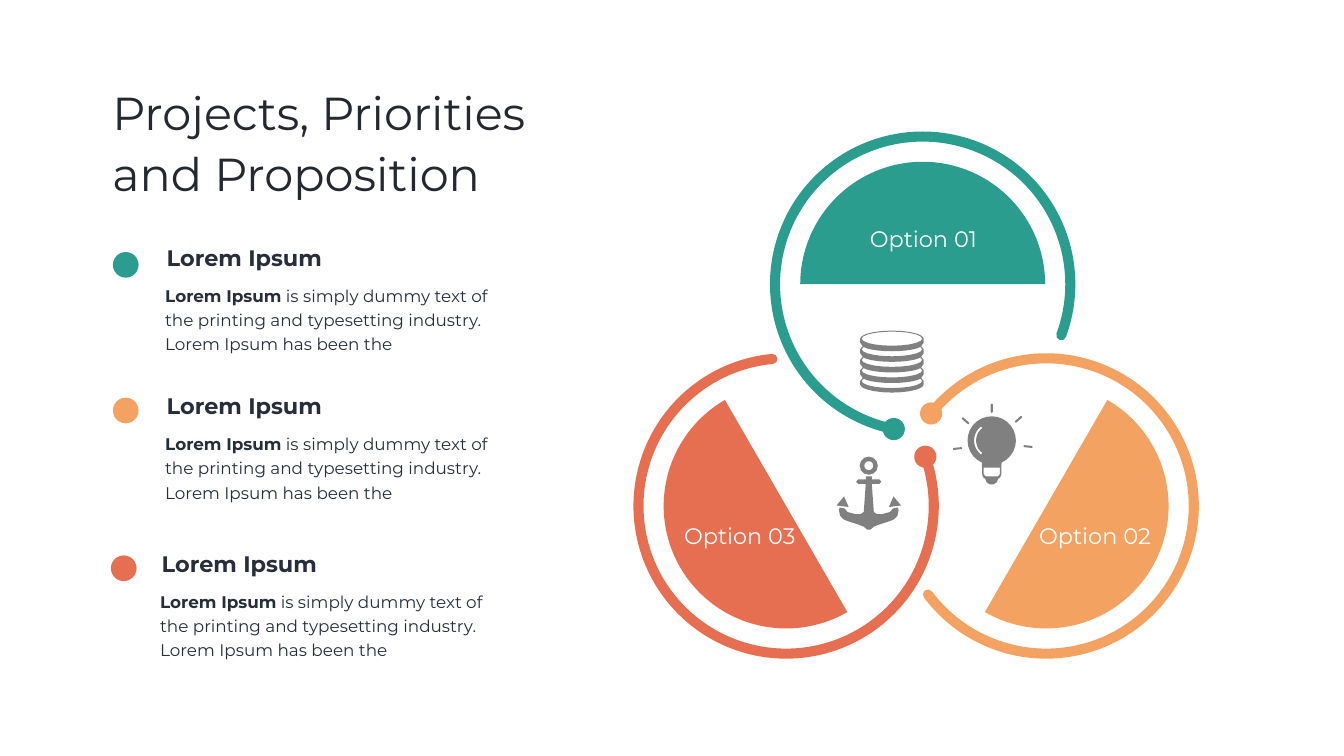
from math import cos, sin, radians
from pptx import Presentation
from pptx.dml.color import RGBColor
from pptx.enum.shapes import MSO_SHAPE as SHAPE
from pptx.enum.text import MSO_ANCHOR, MSO_AUTO_SIZE, PP_ALIGN
from pptx.oxml.ns import qn
from pptx.util import Inches, Pt

COLORS = {"teal": "2A9D8F", "orange": "F4A261", "red": "E76F51", "icon": "808080",
          "title": "25292F", "text": "272E3A", "white": "FFFFFF"}
FONT = "Montserrat"


def arc(cx, cy, rx, ry, start, end, steps=10):
    """Points on an ellipse, with angles in degrees clockwise from the right."""
    angles = [radians(start + (end - start) * i / steps) for i in range(steps + 1)]
    return [(cx + rx * cos(a), cy + ry * sin(a)) for a in angles]


def style(item, color, size=None, bold=False):
    """Fill a shape, or set the font of a run when a size is given."""
    rgb = RGBColor.from_string(COLORS[color])
    if size:
        item.font.name, item.font.size, item.font.bold = FONT, Pt(size), bold
        item.font.color.rgb = rgb
    else:
        item.fill.solid()
        item.fill.fore_color.rgb = rgb
        item.line.fill.background()
        item.shadow.inherit = False


prs = Presentation()
prs.slide_width, prs.slide_height = Inches(26.67), Inches(15)
s = prs.slides.add_slide(prs.slide_layouts[5])

# Title
title = s.shapes.title
title.left, title.top, title.width, title.height = map(Inches, (2.13, 1.52, 9.41, 2.47))
tf = title.text_frame
tf.text = "Projects, Priorities and Proposition"
tf.word_wrap, tf.auto_size = True, MSO_AUTO_SIZE.NONE
tf.vertical_anchor = MSO_ANCHOR.TOP
p = tf.paragraphs[0]
p.alignment, p.line_spacing = PP_ALIGN.LEFT, 1.1
style(p.runs[0], "title", 66)

# Open rings around half discs: colour, centre, ring angles, first disc angle
RING, DISC = 2.93, 2.43
DEGREE = 0.6  # one degree as an adjustment value
dots = []
for color, cx, cy, start, end, disc_start in [("teal", 18.31, 5.64, 101.3, 20.2, 180),
                                              ("orange", 20.76, 10.04, 218.8, 143.2, 300),
                                              ("red", 15.6, 10.04, 340.5, 264.7, 60)]:
    ring = s.shapes.add_shape(SHAPE.ARC, Inches(cx - RING), Inches(cy - RING),
                              Inches(2 * RING), Inches(2 * RING))
    ring.adjustments[0], ring.adjustments[1] = start * DEGREE, end * DEGREE
    ring.shadow.inherit = False
    ring.fill.background()
    ring.line.color.rgb = RGBColor.from_string(COLORS[color])
    ring.line.width = Inches(0.2)
    ring.element.spPr.find(qn("a:ln")).set("cap", "rnd")

    disc = s.shapes.add_shape(SHAPE.CHORD, Inches(cx - DISC), Inches(cy - DISC),
                              Inches(2 * DISC), Inches(2 * DISC))
    disc.adjustments[0] = disc_start * DEGREE
    disc.adjustments[1] = (disc_start + 180) % 360 * DEGREE
    style(disc, color)
    x, y = arc(cx, cy, RING, RING, start, start, 1)[0]
    dots.append((color, x - 0.22, y - 0.22, 0.44))

# Stack of coins
COINS, STEP, MID = 5, 0.21, 17.7
right_edge = []
for i in range(COINS):
    y = 6.72 + i * STEP
    right_edge += [(MID + 0.63, y), (MID + 0.63, y + 0.08)]
    if i < COINS - 1:
        right_edge.append((MID + 0.58, y + 0.15))
left_edge = [(2 * MID - x, y) for x, y in reversed(right_edge)]
stack = [arc(MID, 6.72, 0.63, 0.16, 180, 360) + right_edge
         + arc(MID, 7.63, 0.63, 0.16, 0, 180) + left_edge,
         arc(MID, 6.72, 0.6, 0.14, 0, 360, 20)]
for i in range(COINS - 1):
    y = 6.93 + i * STEP
    stack.append(arc(MID, y, 0.6, 0.14, 0, 180) + arc(MID, y - 0.09, 0.6, 0.13, 160, 20))

# Light bulb with neck and highlight cut out
BULB_X, BULB_Y = 19.68, 8.74
bulb = arc(BULB_X, BULB_Y, 0.48, 0.48, 114, 426, 24)
base = [(0.19, 9.41), (0.17, 9.47), (0.13, 9.5), (0.1, 9.57), (0.04, 9.61)]
bulb += [(BULB_X + dx, y) for dx, y in base]
bulb += [(BULB_X - dx, y) for dx, y in reversed(base)]
neck = [(BULB_X + dx, y) for dx, y in
        [(-0.16, 9.28), (0.16, 9.28), (0.16, 9.41), (0.12, 9.45), (-0.12, 9.45), (-0.16, 9.41)]]
highlight = (arc(BULB_X, BULB_Y, 0.35, 0.35, 127, 233)
             + arc(BULB_X, BULB_Y, 0.31, 0.31, 233, 127))

# Anchor: right half, mirrored about its shank
ANCHOR_X = 17.24
half = [(0.06, 9.45), (0.06, 9.51), (0.21, 9.51), (0.25, 9.56), (0.21, 9.6), (0.06, 9.6),
        (0.1, 10.16), (0.16, 10.2), (0.27, 10.2), (0.42, 10.16), (0.48, 10.09), (0.58, 10.07),
        (0.59, 10.13), (0.57, 10.23), (0.51, 10.3), (0.42, 10.34), (0.2, 10.41),
        (0.1, 10.45), (0.03, 10.51)]
barb = [(0.49, 9.85), (0.64, 10.03), (0.4, 10.06)]
anchor = ([(ANCHOR_X + dx, y) for dx, y in half]
          + [(ANCHOR_X - dx, y) for dx, y in reversed(half)])
barbs = [[(ANCHOR_X + side * dx, y) for dx, y in barb] for side in (-1, 1)]

for contours in (stack, [bulb, neck, highlight], [anchor] + barbs):
    contours = [[(Inches(x), Inches(y)) for x, y in c] for c in contours]
    builder = s.shapes.build_freeform(*contours[0][0])
    builder.add_line_segments(contours[0][1:], close=True)
    for contour in contours[1:]:
        builder.move_to(*contour[0])
        builder.add_line_segments(contour[1:], close=True)
    style(builder.convert_to_shape(), "icon")

eye = s.shapes.add_shape(SHAPE.DONUT, Inches(17.06), Inches(9.06), Inches(0.36), Inches(0.36))
eye.adjustments[0] = 0.25
style(eye, "icon")

# Rays of the bulb: centre and angle
for x, y, angle in [(19.68, 8.1, 90), (19.16, 8.35, 42), (19, 8.9, -6),
                    (20.4, 8.86, 6), (20.21, 8.32, -42)]:
    ray = s.shapes.add_shape(SHAPE.ROUNDED_RECTANGLE, Inches(x - 0.09), Inches(y - 0.02),
                             Inches(0.18), Inches(0.04))
    ray.adjustments[0] = 0.5
    ray.rotation = angle
    style(ray, "icon")

# Option labels
for text, x, y, width in [("Option 01", 17.16, 4.42, 2.33), ("Option 02", 20.52, 10.32, 2.42),
                          ("Option 03", 13.47, 10.32, 2.42)]:
    tf = s.shapes.add_textbox(Inches(x), Inches(y), Inches(width), Inches(0.64)).text_frame
    tf.text = text
    tf.word_wrap = False
    p = tf.paragraphs[0]
    p.alignment = PP_ALIGN.CENTER
    style(p.runs[0], "white", 32)

# Legend entries: colour, dot position, heading position
LEAD = "Lorem Ipsum"
DETAIL = " is simply dummy text of the printing and typesetting industry. Lorem Ipsum has been the"
for color, dot_x, dot_y, x, y in [("teal", 2.24, 5, 3.21, 4.8), ("orange", 2.24, 7.89, 3.21, 7.74),
                                  ("red", 2.2, 11.02, 3.11, 10.87)]:
    dots.append((color, dot_x, dot_y, 0.51))
    heading = s.shapes.add_textbox(Inches(x), Inches(y), Inches(4.56), Inches(0.64))
    body = s.shapes.add_textbox(Inches(x - 0.03), Inches(y + 0.74), Inches(7.16), Inches(1.52))
    for box, size in ((heading, 32), (body, 24)):
        tf = box.text_frame
        tf.text = LEAD
        tf.word_wrap = True
        style(tf.paragraphs[0].runs[0], "text", size, True)
    p = body.text_frame.paragraphs[0]
    p.line_spacing = 1.2
    r = p.add_run()
    r.text = DETAIL
    style(r, "text", 24)

for color, x, y, size in dots:
    dot = s.shapes.add_shape(SHAPE.OVAL, Inches(x), Inches(y), Inches(size), Inches(size))
    style(dot, color)

prs.save("out.pptx")
